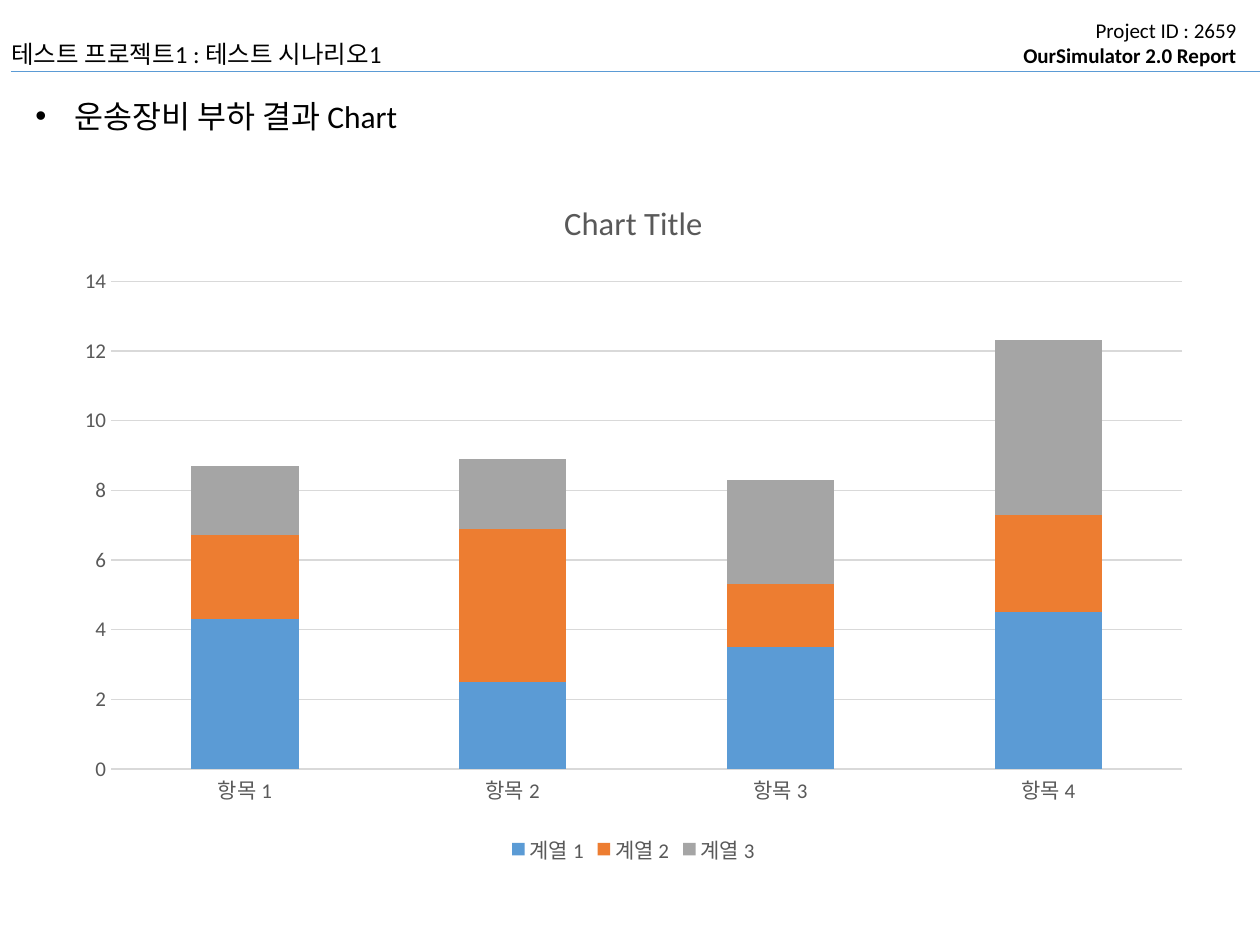
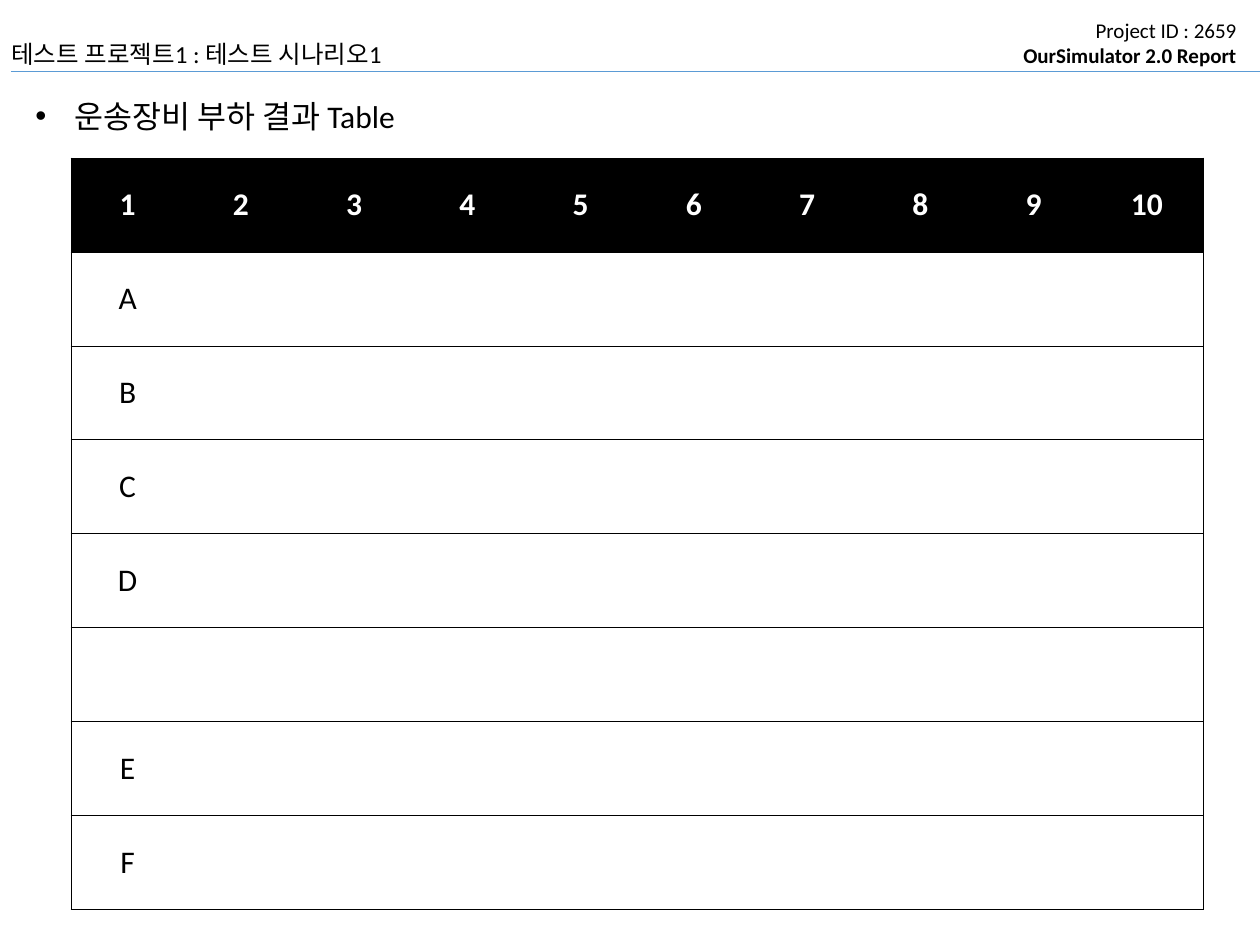
"""Builds a two-slide simulation report: a load chart and a load table."""
from dataclasses import dataclass
from lxml import etree
from pptx import Presentation
from pptx import util as u
from pptx.chart import data as chart_data
from pptx.dml.color import RGBColor
from pptx.enum import chart as charts, shapes, text
from pptx.oxml.ns import qn


@dataclass(frozen=True)
class Theme:
    """Colours, type sizes and line widths of the report."""
    font: str = "Calibri"
    ink: str = "000000"
    paper: str = "FFFFFF"
    muted: str = "595959"
    grid: str = "D9D9D9"
    rule: str = "5B9BD5"
    series: tuple = ("5B9BD5", "ED7D31", "A5A5A5")
    small: float = 12
    header: float = 14
    body: float = 18
    chart_title: float = 18.6
    hairline: float = 0.5
    grid_line: float = 0.75


THEME = Theme()
SCALE = u.Inches(1) / 126
PAGE = (1260, 945)
HEADER_BOX = (0, 0, 1260, 71)
HEADING_BOX = (23, 91, 515, 50)
CHART_BOX = (62, 174, 1143, 696)
TABLE_BOX = (71, 158, 1133, 752)

PROJECT = "테스트 프로젝트1 : 테스트 시나리오1"
REPORT_LINES = (("Project ID : 2659", False), ("OurSimulator 2.0 Report", True))
CATEGORIES = ["항목 1", "항목 2", "항목 3", "항목 4"]
LOADS = {
    "계열 1": (4.3, 2.5, 3.5, 4.5),
    "계열 2": (2.4, 4.4, 1.8, 2.8),
    "계열 3": (2, 2, 3, 5),
}
COLUMN_HEADS = [str(number) for number in range(1, 11)]
ROW_HEADS = ["A", "B", "C", "D", "", "E", "F"]


def emu(*pixels):
    """Turn pixel lengths into EMU."""
    return [round(pixel * SCALE) for pixel in pixels]


def style_font(font, size, colour, bold=False):
    """Set the face, size, colour and weight of a font."""
    font.name = THEME.font
    font.size = u.Pt(size)
    font.bold = bold
    font.color.rgb = RGBColor.from_string(colour)


def add_span(para, words, size, colour=THEME.ink, bold=False):
    """Add one styled run to a paragraph."""
    span = para.add_run()
    span.text = words
    style_font(span.font, size, colour, bold)


def add_text_box(page, box, wrap):
    """Add an empty text box that grows with its text."""
    frame = page.shapes.add_textbox(*emu(*box)).text_frame
    frame.word_wrap = wrap
    frame.auto_size = text.MSO_AUTO_SIZE.SHAPE_TO_FIT_TEXT
    return frame


def add_header(page, box):
    """Place the project name, the report name and the rule below them."""
    left, top, width, height = box
    report = add_text_box(page, (left + width - 257, top + 11, 246, 63), False)
    for index, (words, bold) in enumerate(REPORT_LINES):
        para = report.add_paragraph() if index else report.paragraphs[0]
        para.alignment = text.PP_ALIGN.RIGHT
        add_span(para, words, THEME.small, bold=bold)

    bottom = top + height
    rule = page.shapes.add_connector(
        shapes.MSO_CONNECTOR.STRAIGHT,
        *emu(left + 11, bottom, left + width, bottom))
    rule.line.color.rgb = RGBColor.from_string(THEME.rule)
    rule.line.width = u.Pt(THEME.hairline)
    etree.SubElement(rule._element.spPr, qn("a:effectLst"))

    project = add_text_box(page, (left - 1, top + 33, 426, 43), False)
    add_span(project.paragraphs[0], PROJECT, THEME.header)


def add_heading(page, box, words):
    """Place the bulleted heading of a slide."""
    para = add_text_box(page, box, True).paragraphs[0]
    add_span(para, words, THEME.body)
    indent = emu(39)[0]
    properties = para._p.get_or_add_pPr()
    properties.set("marL", str(indent))
    properties.set("indent", str(-indent))
    etree.SubElement(properties, qn("a:buFont"), typeface="Arial")
    etree.SubElement(properties, qn("a:buChar"), char="•")


def style_line(line, colour):
    """Draw a chart line in the grid weight."""
    line.color.rgb = RGBColor.from_string(colour)
    line.width = u.Pt(THEME.grid_line)


def add_load_chart(page, box):
    """Place the stacked column chart of loads."""
    loads = chart_data.CategoryChartData()
    loads.categories = CATEGORIES
    for name, values in LOADS.items():
        loads.add_series(name, values)
    chart = page.shapes.add_chart(
        charts.XL_CHART_TYPE.COLUMN_STACKED, *emu(*box), loads).chart
    style_font(chart.font, THEME.small, THEME.muted)

    chart.has_title = True
    add_span(chart.chart_title.text_frame.paragraphs[0], "Chart Title",
             THEME.chart_title, THEME.muted)
    chart.chart_title.include_in_layout = False
    chart.has_legend = True
    chart.legend.position = charts.XL_LEGEND_POSITION.BOTTOM
    chart.legend.include_in_layout = False
    style_font(chart.legend.font, THEME.small, THEME.muted)

    for axis in (chart.category_axis, chart.value_axis):
        axis.major_tick_mark = charts.XL_TICK_MARK.NONE
        axis.minor_tick_mark = charts.XL_TICK_MARK.NONE
        style_font(axis.tick_labels.font, THEME.small, THEME.muted)
    style_line(chart.category_axis.format.line, THEME.grid)
    style_line(chart.value_axis.major_gridlines.format.line, THEME.grid)
    chart.value_axis.format.line.fill.background()

    plot = chart.plots[0]
    plot.gap_width = 150
    plot.overlap = 100
    plot.vary_by_categories = False
    for series, colour in zip(plot.series, THEME.series):
        series.format.fill.solid()
        series.format.fill.fore_color.rgb = RGBColor.from_string(colour)


def set_borders(cell, sides):
    """Draw the named sides of a cell and clear the others."""
    properties = cell._tc.get_or_add_tcPr()
    for side in "LRTB":
        line = etree.SubElement(properties, qn(f"a:ln{side}"),
                                w=str(u.Pt(THEME.hairline)))
        if side in sides:
            fill = etree.SubElement(line, qn("a:solidFill"))
            etree.SubElement(fill, qn("a:srgbClr"), val=THEME.ink)
        else:
            etree.SubElement(line, qn("a:noFill"))


def add_load_table(page, box):
    """Place the table of loads with its dark head row."""
    blanks = [""] * (len(COLUMN_HEADS) - 1)
    rows = [COLUMN_HEADS] + [[head] + blanks for head in ROW_HEADS]
    table = page.shapes.add_table(
        len(rows), len(COLUMN_HEADS), *emu(*box)).table
    table.horz_banding = False
    for row_index, row in enumerate(rows):
        is_head = row_index == 0
        back, front = ((THEME.ink, THEME.paper) if is_head
                       else (THEME.paper, THEME.ink))
        for column_index, words in enumerate(row):
            cell = table.cell(row_index, column_index)
            sides = "TB"
            if column_index == 0:
                sides += "L"
            if column_index == len(row) - 1:
                sides += "R"
            set_borders(cell, sides)
            cell.fill.solid()
            cell.fill.fore_color.rgb = RGBColor.from_string(back)
            cell.vertical_anchor = text.MSO_ANCHOR.MIDDLE
            para = cell.text_frame.paragraphs[0]
            para.alignment = text.PP_ALIGN.CENTER
            if words:
                add_span(para, words, THEME.body, front, is_head)


def add_report_page(deck, heading, add_content, content_box):
    """Add a slide with the shared header, a heading and its content."""
    page = deck.slides.add_slide(deck.slide_layouts[6])
    add_header(page, HEADER_BOX)
    add_heading(page, HEADING_BOX, heading)
    add_content(page, content_box)


def main():
    """Build and save the report."""
    deck = Presentation()
    deck.slide_width, deck.slide_height = emu(*PAGE)
    add_report_page(deck, "운송장비 부하 결과 Chart", add_load_chart, CHART_BOX)
    add_report_page(deck, "운송장비 부하 결과 Table", add_load_table, TABLE_BOX)
    deck.save("out.pptx")


main()
